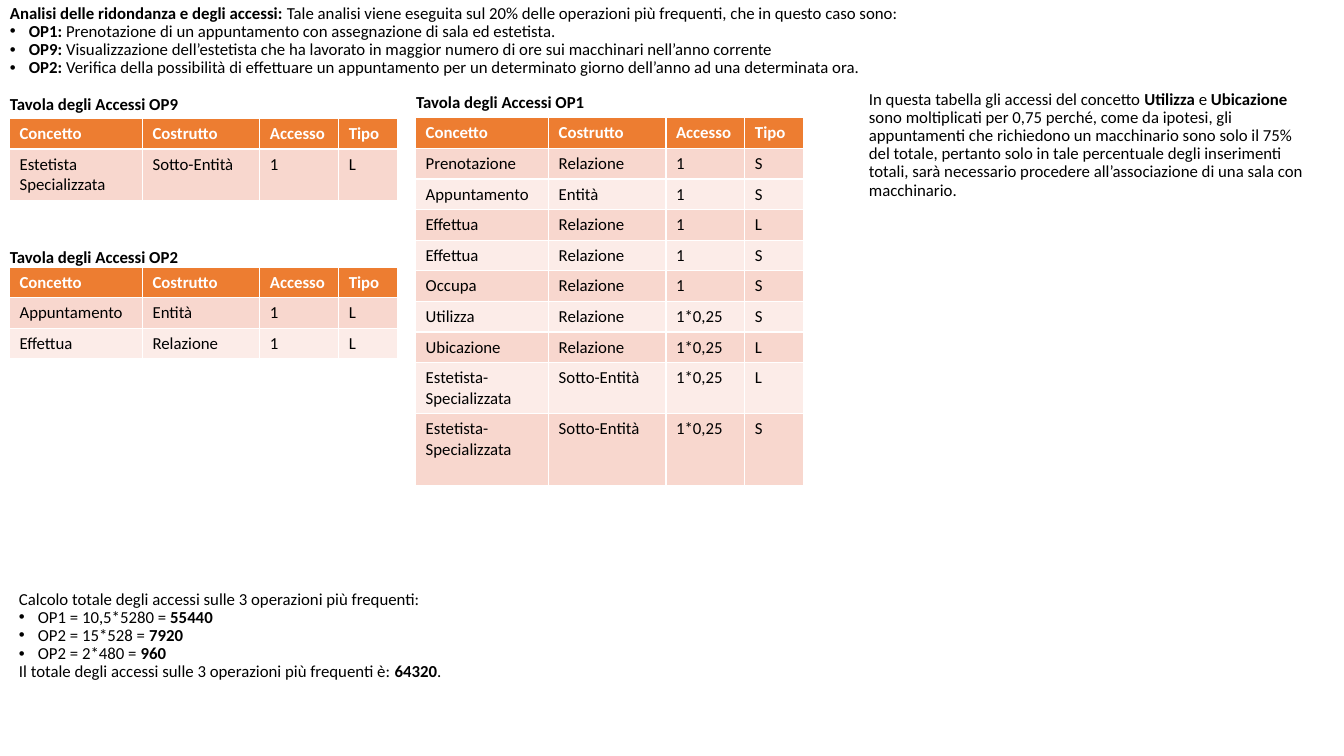
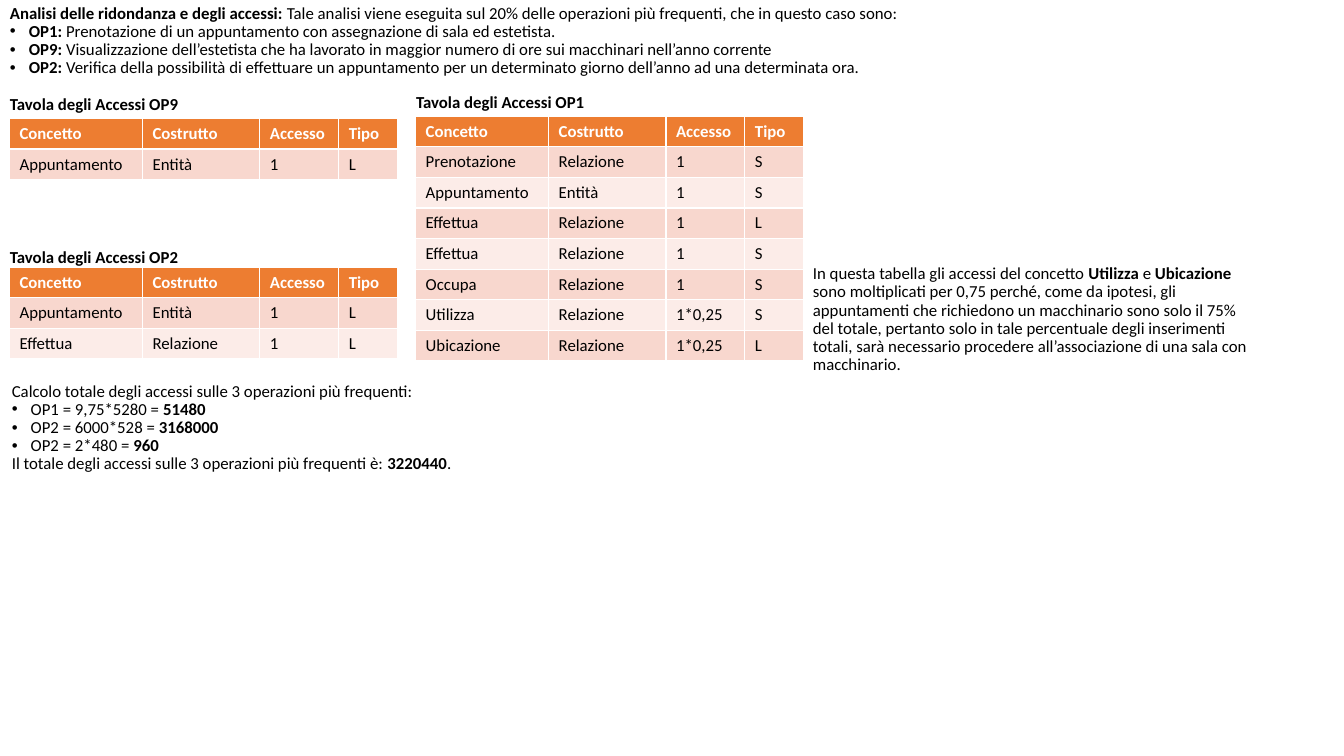
from dataclasses import dataclass

from lxml import etree
from pptx import Presentation
from pptx import util as u
from pptx.dml import color
from pptx.enum import text
from pptx.oxml import ns


@dataclass(frozen=True)
class Theme:
    """Colours, type and table measures shared by the slides."""
    ink: str = "000000"
    white: str = "FFFFFF"
    header: str = "ED7D31"
    bands: tuple = ("F8D7CE", "FCECE8")
    font: str = "Calibri"
    size: float = 12
    line_spacing: float = 0.9
    indent: float = 13.5
    columns: tuple = (95, 83.8, 56.4, 42)
    row_height: float = 21.8
    heading: tuple = (163.4, 31)


THEME = Theme()

HEADER = ("Concetto", "Costrutto", "Accesso", "Tipo")
INTRO = (
    "**Analisi delle ridondanza e degli accessi: **Tale analisi viene eseguita sul 20% "
    "delle operazioni più frequenti, che in questo caso sono:",
    "• **OP1: **Prenotazione di un appuntamento con assegnazione di sala ed estetista.",
    "• **OP9: **Visualizzazione dell’estetista che ha lavorato in maggior numero di ore "
    "sui macchinari nell’anno corrente",
    "• **OP2: **Verifica della possibilità di effettuare un appuntamento per un "
    "determinato giorno dell’anno ad una determinata ora.",
)
NOTE = (
    "In questa tabella gli accessi del concetto **Utilizza **e **Ubicazione** sono "
    "moltiplicati per 0,75 perché, come da ipotesi, gli appuntamenti che richiedono un "
    "macchinario sono solo il 75% del totale, pertanto solo in tale percentuale degli "
    "inserimenti totali, sarà necessario procedere all’associazione di una sala con "
    "macchinario.",
)
OP1_ROWS = (
    ("Prenotazione", "Relazione", "1", "S"),
    ("Appuntamento", "Entità", "1", "S"),
    ("Effettua", "Relazione", "1", "L"),
    ("Effettua", "Relazione", "1", "S"),
    ("Occupa", "Relazione", "1", "S"),
    ("Utilizza", "Relazione", "1*0,25", "S"),
    ("Ubicazione", "Relazione", "1*0,25", "L"),
)
SPECIALIST_ROWS = tuple(
    ("Estetista-Specializzata", "Sotto-Entità", "1*0,25", kind) for kind in "LS")
APPOINTMENT_ROW = ("Appuntamento", "Entità", "1", "L")
OP2_ROWS = (APPOINTMENT_ROW, ("Effettua", "Relazione", "1", "L"))


def style_run(span, bold=False, ink=THEME.ink):
    """Apply the shared font to one run."""
    span.font.name = THEME.font
    span.font.size = u.Pt(THEME.size)
    span.font.bold = bold
    span.font.color.rgb = color.RGBColor.from_string(ink)


def add_bullet(para):
    """Give a paragraph a hanging round bullet."""
    properties = para._p.get_or_add_pPr()
    properties.set("marL", str(u.Pt(THEME.indent)))
    properties.set("indent", str(-u.Pt(THEME.indent)))
    etree.SubElement(properties, ns.qn("a:buFont"), typeface="Arial")
    etree.SubElement(properties, ns.qn("a:buChar"), char="•")


def write_lines(frame, lines):
    """Write lines; ** toggles bold and a leading • makes a bullet."""
    frame.word_wrap = True
    frame.auto_size = text.MSO_AUTO_SIZE.NONE
    for index, line in enumerate(lines):
        para = frame.add_paragraph() if index else frame.paragraphs[0]
        para.alignment = text.PP_ALIGN.LEFT
        para.line_spacing = THEME.line_spacing
        if line.startswith("• "):
            add_bullet(para)
        for part, words in enumerate(line.removeprefix("• ").split("**")):
            if words:
                span = para.add_run()
                span.text = words
                style_run(span, bold=part % 2 == 1)


def add_text(slide, box, lines):
    """Place a text box at (left, top, width, height)."""
    shape = slide.shapes.add_textbox(*map(u.Pt, box))
    write_lines(shape.text_frame, lines)
    return shape


def add_heading(slide, corner, words, is_title=False):
    """Place a table heading, in the title placeholder if asked."""
    box = (*corner, *THEME.heading)
    lines = [f"**{words}**"]
    if is_title:
        shape = slide.shapes.title
        shape.left, shape.top, shape.width, shape.height = map(u.Pt, box)
        write_lines(shape.text_frame, lines)
    else:
        shape = add_text(slide, box, lines)
    shape.text_frame.vertical_anchor = text.MSO_ANCHOR.MIDDLE


def add_access_table(slide, corner, rows, tall_rows):
    """Place a banded access table; tall_rows maps row numbers to heights."""
    heights = [tall_rows.get(index, THEME.row_height) for index in range(len(rows) + 1)]
    size = (sum(THEME.columns), sum(heights))
    table = slide.shapes.add_table(
        len(heights), len(HEADER), *map(u.Pt, (*corner, *size))).table
    for column, width in zip(table.columns, THEME.columns):
        column.width = u.Pt(width)
    for index, values in enumerate((HEADER, *rows)):
        table.rows[index].height = u.Pt(heights[index])
        is_header = index == 0
        fill = THEME.header if is_header else THEME.bands[(index - 1) % 2]
        for cell, value in zip(table.rows[index].cells, values):
            cell.text = value
            cell.fill.solid()
            cell.fill.fore_color.rgb = color.RGBColor.from_string(fill)
            style_run(cell.text_frame.paragraphs[0].runs[0], is_header,
                      THEME.white if is_header else THEME.ink)


def add_totals(slide, corner, sums, total):
    """Place the access totals, one bullet for each operation."""
    add_text(slide, (*corner, 958, 92), [
        "Calcolo totale degli accessi sulle 3 operazioni più frequenti:",
        *(f"• {name} = {product} = **{result}**" for name, product, result in sums),
        f"Il totale degli accessi sulle 3 operazioni più frequenti è: **{total}**.",
    ])


def add_analysis_slide(deck, op1, op9, op1_top, note_corner, totals):
    """Build one analysis slide; op1 and op9 are (rows, tall rows)."""
    slide = deck.slides.add_slide(deck.slide_layouts[5])
    add_heading(slide, (290, 58.3), "Tavola degli Accessi OP1", is_title=True)
    add_heading(slide, (0, 59.8), "Tavola degli Accessi OP9")
    add_heading(slide, (0, 168.8), "Tavola degli Accessi OP2")
    add_access_table(slide, (296.9, op1_top), *op1)
    add_access_table(slide, (6.8, 84.6), *op9)
    add_access_table(slide, (6.8, 190.9), OP2_ROWS, {})
    add_totals(slide, *totals)
    add_text(slide, (0, 0, 960, 70), INTRO)
    add_text(slide, (*note_corner, 333.4, 75), NOTE)


deck = Presentation()
deck.slide_width, deck.slide_height = u.Pt(960), u.Pt(540)

add_analysis_slide(
    deck,
    op1=(OP1_ROWS + SPECIALIST_ROWS, {8: 36.5, 9: 51.4}),
    op9=([("Estetista Specializzata", "Sotto-Entità", "1", "L")], {1: 36.5}),
    op1_top=84.2,
    note_corner=(613.6, 61.4),
    totals=((6.5, 418.5), (("OP1", "10,5*5280", "55440"), ("OP2", "15*528", "7920"),
                           ("OP2", "2*480", "960")), "64320"),
)
add_analysis_slide(
    deck,
    op1=(OP1_ROWS, {}),
    op9=([APPOINTMENT_ROW], {}),
    op1_top=83,
    note_corner=(573.6, 186),
    totals=((1.4, 270), (("OP1", "9,75*5280", "51480"), ("OP2", "6000*528", "3168000"),
                         ("OP2", "2*480", "960")), "3220440"),
)

deck.save("out.pptx")
